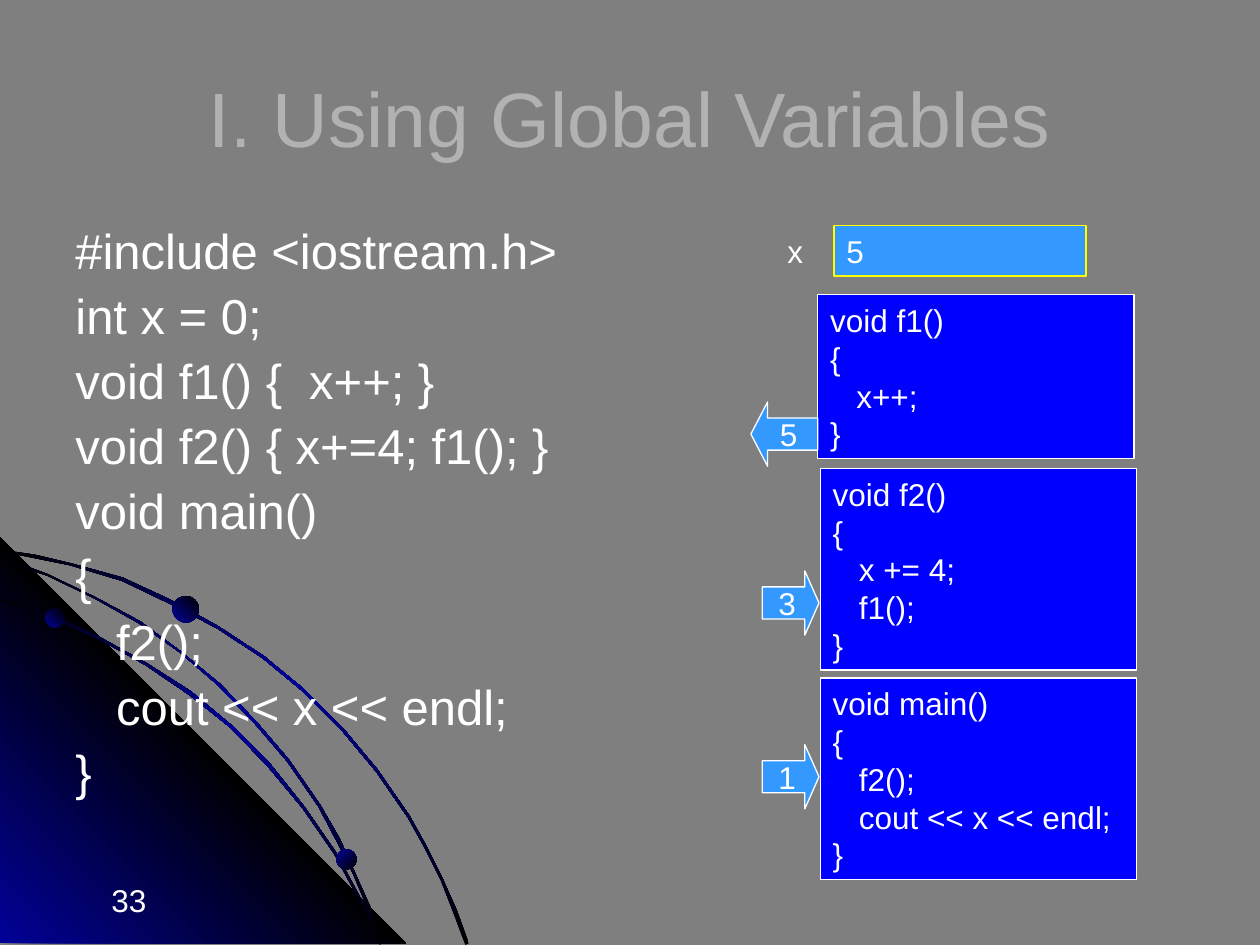
import copy
import math

import pptx
import pptx.dml.color
import pptx.enum.shapes
import pptx.enum.text
import pptx.oxml.ns
import pptx.util

Pt = pptx.util.Pt
SHAPES = pptx.enum.shapes.MSO_SHAPE
ALIGN = pptx.enum.text.PP_ALIGN
ANCHOR = pptx.enum.text.MSO_ANCHOR

COLORS = {
    "background": "7F7F7F",
    "title": "B2B2B2",
    "text": "FFFFFF",
    "memory": "3399FF",
    "memory_line": "FFFF00",
    "function": "0000FF",
    "navy": "010199",
    "black": "000000",
}

BAND = ("black", "navy", "black")
ARCS = [
    [(0, 314.3), (20.2, 318.2), (40.7, 322.6), (70.2, 331.2), (97.6, 343.8),
     (124.9, 358.6), (150.1, 375.8), (173.9, 394.9), (195.5, 416.5), (215.3, 440.3),
     (233.3, 466.9), (243.4, 484.6), (252.7, 502.6), (259.9, 520.6), (267.1, 539.3)],
    [(0, 342.7), (28.8, 352.1), (56.2, 364.3), (83.5, 379.4), (108.7, 396),
     (132.1, 415.4), (153.7, 437), (173.5, 461.5), (191.2, 487.1), (205.6, 513.4),
     (212.4, 526.3), (217.4, 539.3)],
    [(0, 319), (27, 328.3), (54, 341.3), (79.2, 355.3), (103, 372.2),
     (125.3, 391.3), (146.2, 413.3), (164.2, 434.9), (182.2, 460.8), (193, 479.5),
     (202.3, 499.3), (211, 519.1), (217.4, 539.3)],
]
CORNER = [(232, 539.3), (0, 539.3), (0, 307.4)]
DOTS = [(25.9, 347.8, 10.8, 315), (192.2, 485.3, 11.5, 45), (98.6, 340.6, 15.1, 315)]

PROGRAM = """#include <iostream.h>
int x = 0;
void f1() {  x++; }
void f2() { x+=4; f1(); }
void main()
{
   f2();
   cout << x << endl;
}"""

FUNCTIONS = [
    (468.7, 387.4, 115.2, "void main()\n{\n   f2();\n   cout << x << endl;\n}"),
    (468.7, 267.8, 115.2, "void f2()\n{\n   x += 4;\n   f1();\n}"),
    (467.3, 168.5, 93.6, "void f1()\n{\n   x++;\n}"),
]
STEPS = [
    (SHAPES.RIGHT_ARROW, 435.6, 425.5, 32.4, 0.25, "1"),
    (SHAPES.RIGHT_ARROW, 435.6, 326.2, 32.4, 0.25, "3"),
    (SHAPES.LEFT_ARROW, 429.1, 229.7, 38.2, 0.26, "5"),
]


def rgb(name):
    return pptx.dml.color.RGBColor.from_string(COLORS[name])


def write_text(shape, text, size=18, color="text", align=ALIGN.LEFT,
               anchor=ANCHOR.TOP, wrap=True, line_spacing=None, gap=0):
    frame = shape.text_frame
    frame.word_wrap = wrap
    frame.vertical_anchor = anchor
    for index, line in enumerate(text.split("\n")):
        paragraph = frame.paragraphs[0] if index == 0 else frame.add_paragraph()
        paragraph.alignment = align
        if line_spacing:
            paragraph.line_spacing = line_spacing
        if index and gap:
            paragraph.space_before = Pt(gap)
        run = paragraph.add_run()
        run.text = line
        run.font.name = "Arial"
        run.font.size = Pt(size)
        run.font.color.rgb = rgb(color)


def add_label(slide, left, top, width, height, text, **text_format):
    box = slide.shapes.add_textbox(Pt(left), Pt(top), Pt(width), Pt(height))
    write_text(box, text, **text_format)


def add_block(slide, kind, left, top, width, height, text, fill, line="text", **text_format):
    shape = slide.shapes.add_shape(kind, Pt(left), Pt(top), Pt(width), Pt(height))
    shape.shadow.inherit = False
    shape.fill.solid()
    shape.fill.fore_color.rgb = rgb(fill)
    shape.line.color.rgb = rgb(line)
    shape.line.width = Pt(0.75)
    write_text(shape, text, **text_format)
    return shape


def fill_gradient(shape, names, clockwise_angle):
    shape.shadow.inherit = False
    shape.line.fill.background()
    shape.fill.gradient()
    shape.fill.gradient_angle = 360 - clockwise_angle
    stop_list = shape._element.spPr.find(".//" + pptx.oxml.ns.qn("a:gsLst"))
    while len(stop_list) < len(names):
        stop_list.append(copy.deepcopy(stop_list[-1]))
    for index, (stop, name) in enumerate(zip(shape.fill.gradient_stops, names)):
        stop.position = index / (len(names) - 1)
        stop.color.rgb = rgb(name)


def add_outline(slide, points, names, angle):
    builder = slide.shapes.build_freeform(*points[0], scale=Pt(1))
    builder.add_line_segments(points[1:], close=True)
    fill_gradient(builder.convert_to_shape(), names, angle)


def band_around(centers, half_width=0.8):
    upper, lower = [], []
    for index, (x, y) in enumerate(centers):
        before = centers[max(index - 1, 0)]
        after = centers[min(index + 1, len(centers) - 1)]
        angle = math.atan2(after[1] - before[1], after[0] - before[0])
        dx, dy = half_width * math.sin(angle), half_width * math.cos(angle)
        upper.append((max(x + dx, 0), y - dy))
        lower.append((max(x - dx, 0), y + dy))
    return upper + lower[::-1]


def add_decoration(slide):
    add_outline(slide, band_around(ARCS[0]), BAND, 45)
    add_outline(slide, CORNER, ("navy", "black", "navy"), 315)
    for arc in ARCS[1:]:
        add_outline(slide, band_around(arc), BAND, 45)
    for left, top, size, angle in DOTS:
        dot = slide.shapes.add_shape(SHAPES.OVAL, Pt(left), Pt(top), Pt(size), Pt(size))
        fill_gradient(dot, ("navy", "black"), angle)


def add_step(slide, kind, left, top, width, head, number):
    arrow = add_block(slide, kind, left, top, width, 36.7, number, "memory",
                      align=ALIGN.CENTER, anchor=ANCHOR.MIDDLE, wrap=False)
    arrow.adjustments[0] = 0.5
    arrow.adjustments[1] = head


def main():
    presentation = pptx.Presentation()
    presentation.slide_width, presentation.slide_height = Pt(720), Pt(540)
    slide = presentation.slides.add_slide(presentation.slide_layouts[6])
    slide.background.fill.solid()
    slide.background.fill.fore_color.rgb = rgb("background")

    add_decoration(slide)
    add_label(slide, 40.3, 499.7, 50.4, 28.1, "33", align=ALIGN.RIGHT)
    add_label(slide, 36, 21.6, 648, 90, "I. Using Global Variables", size=44,
              color="title", align=ALIGN.CENTER, anchor=ANCHOR.MIDDLE)
    add_label(slide, 36, 126, 318.2, 356.4, PROGRAM, size=28, line_spacing=0.9, gap=7)

    add_label(slide, 442.8, 128.9, 25.9, 28.8, "x")
    add_block(slide, SHAPES.RECTANGLE, 476.6, 128.9, 144, 28.8, "5", "memory", "memory_line")
    for (left, top, height, code), step in zip(FUNCTIONS, STEPS):
        add_block(slide, SHAPES.RECTANGLE, left, top, 180.7, height, code, "function")
        add_step(slide, *step)

    presentation.save("out.pptx")


if __name__ == "__main__":
    main()
